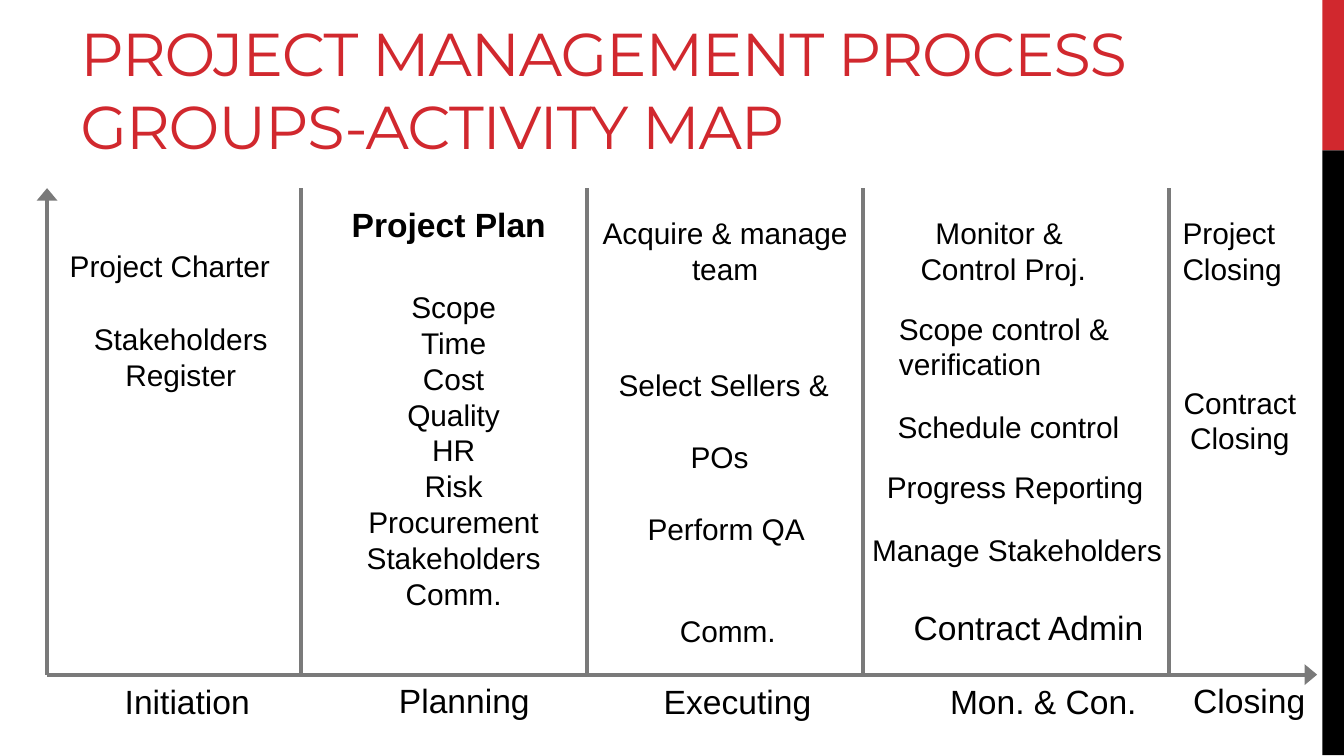
from lxml import etree
from pptx import Presentation
from pptx.dml.color import RGBColor
from pptx.enum.shapes import MSO_CONNECTOR, MSO_SHAPE
from pptx.enum.text import MSO_ANCHOR, PP_ALIGN
from pptx.oxml.ns import qn
from pptx.util import Inches, Pt

RED = RGBColor(0xD1, 0x28, 0x2E)
BLACK = RGBColor(0, 0, 0)
GRAY = RGBColor(0x7A, 0x7A, 0x7A)

AXIS_LEFT, AXIS_RIGHT = 0.35, 9.8
AXIS_TOP, AXIS_BOTTOM = 1.4, 5.02
DIVIDERS = (2.24, 4.37, 6.42, 8.7)

# Phase name, left, top, width
PHASES = (
    ("Initiation", 0.83, 5.02, 1.14),
    ("Planning", 2.87, 5.01, 1.18),
    ("Executing", 4.84, 5.02, 1.31),
    ("Mon. & Con.", 6.97, 5.02, 1.61),
    ("Closing", 8.78, 5.01, 1.04),
)

PLAN_PARTS = "Scope\nTime\nCost\nQuality\nHR\nRisk\nProcurement\nStakeholders\nComm."

# Text, left, top, width, format
ACTIVITIES = (
    ("Project Charter", 0.42, 1.79, 1.71, {}),
    ("Stakeholders \nRegister", 0.59, 2.34, 1.51, {"align": PP_ALIGN.CENTER}),
    ("Project Plan", 2.51, 1.47, 1.66,
     {"size": 18, "bold": True, "align": PP_ALIGN.CENTER}),
    (PLAN_PARTS, 2.62, 2.1, 1.51, {"align": PP_ALIGN.CENTER}),
    ("Acquire & manage \nteam", 4.37, 1.55, 2.05, {"align": PP_ALIGN.CENTER}),
    ("Select Sellers & \nPOs ", 4.49, 2.68, 1.79,
     {"align": PP_ALIGN.CENTER, "gap": 19.2}),
    ("Perform QA", 4.72, 3.75, 1.38, {}),
    ("Comm.", 4.96, 4.51, 0.92, {}),
    ("Monitor & \nControl Proj.", 6.74, 1.55, 1.45, {"align": PP_ALIGN.CENTER}),
    ("Scope control &\nverification", 6.59, 2.26, 1.8, {}),
    ("Schedule control", 6.58, 2.99, 1.87, {}),
    ("Progress Reporting", 6.5, 3.44, 2.14, {}),
    ("Manage Stakeholders", 6.39, 3.91, 2.38, {}),
    ("Contract Admin", 6.7, 4.47, 1.93, {"size": 18}),
    ("Project\nClosing", 8.7, 1.55, 0.95, {}),
    ("Contract \nClosing", 8.7, 2.81, 1.05, {"align": PP_ALIGN.CENTER}),
)


def add_text(slide, text, left, top, width, height=None, *, size=16, font="Arial",
             color=BLACK, bold=False, align=PP_ALIGN.LEFT, anchor=MSO_ANCHOR.TOP,
             wrap=False, gap=0, tracking=None):
    """Add a text box, one paragraph a line; its height follows the text unless given."""
    lines = text.split("\n")
    if height is None:
        height = 0.1 + (len(lines) * size * 1.2 + (len(lines) - 1) * gap) / 72
    box = slide.shapes.add_textbox(Inches(left), Inches(top), Inches(width), Inches(height))
    frame = box.text_frame
    frame.word_wrap = wrap
    frame.vertical_anchor = anchor
    for index, line in enumerate(lines):
        paragraph = frame.add_paragraph() if index else frame.paragraphs[0]
        paragraph.alignment = align
        paragraph.space_before = Pt(gap if index else 0)
        run = paragraph.add_run()
        run.text = line
        run.font.name = font
        run.font.size = Pt(size)
        run.font.bold = bold
        run.font.color.rgb = color
        if tracking is not None:
            run._r.get_or_add_rPr().set("spc", str(round(tracking * 100)))


def add_bar(slide, top, height, color):
    bar = slide.shapes.add_shape(MSO_SHAPE.RECTANGLE, Inches(9.84), Inches(top),
                                 Inches(0.16), Inches(height))
    bar.shadow.inherit = False
    bar.fill.solid()
    bar.fill.fore_color.rgb = color
    bar.line.fill.background()


def add_line(slide, start, end, arrow=False):
    line = slide.shapes.add_connector(MSO_CONNECTOR.STRAIGHT,
                                      *(Inches(value) for value in (*start, *end)))
    line.line.color.rgb = GRAY
    line.line.width = Pt(2.25)
    if arrow:
        etree.SubElement(line.line._get_or_add_ln(), qn("a:tailEnd"),
                         type="triangle", w="lg", len="med")
    etree.SubElement(line._element.spPr, qn("a:effectLst"))


def main():
    presentation = Presentation()
    presentation.slide_width = Inches(10)
    presentation.slide_height = Inches(10) * 9 // 16
    slide = presentation.slides.add_slide(presentation.slide_layouts[6])

    add_bar(slide, 0, 1.12, RED)
    add_bar(slide, 1.12, 4.5, BLACK)
    add_text(slide, "PROJECT MANAGEMENT PROCESS GROUPS-ACTIVITY MAP", 0.5, 0.13, 9.15, 1.12,
             size=32.4, font="Montserrat", color=RED, anchor=MSO_ANCHOR.BOTTOM,
             wrap=True, tracking=-0.6)

    origin = (AXIS_LEFT, AXIS_BOTTOM)
    add_line(slide, origin, (AXIS_RIGHT, AXIS_BOTTOM), arrow=True)
    add_line(slide, origin, (AXIS_LEFT, AXIS_TOP), arrow=True)
    for x in DIVIDERS:
        add_line(slide, (x, AXIS_TOP), (x, AXIS_BOTTOM))

    for name, left, top, width in PHASES:
        add_text(slide, name, left, top, width, size=18)
    for text, left, top, width, text_format in ACTIVITIES:
        add_text(slide, text, left, top, width, **text_format)

    presentation.save("out.pptx")


if __name__ == "__main__":
    main()
